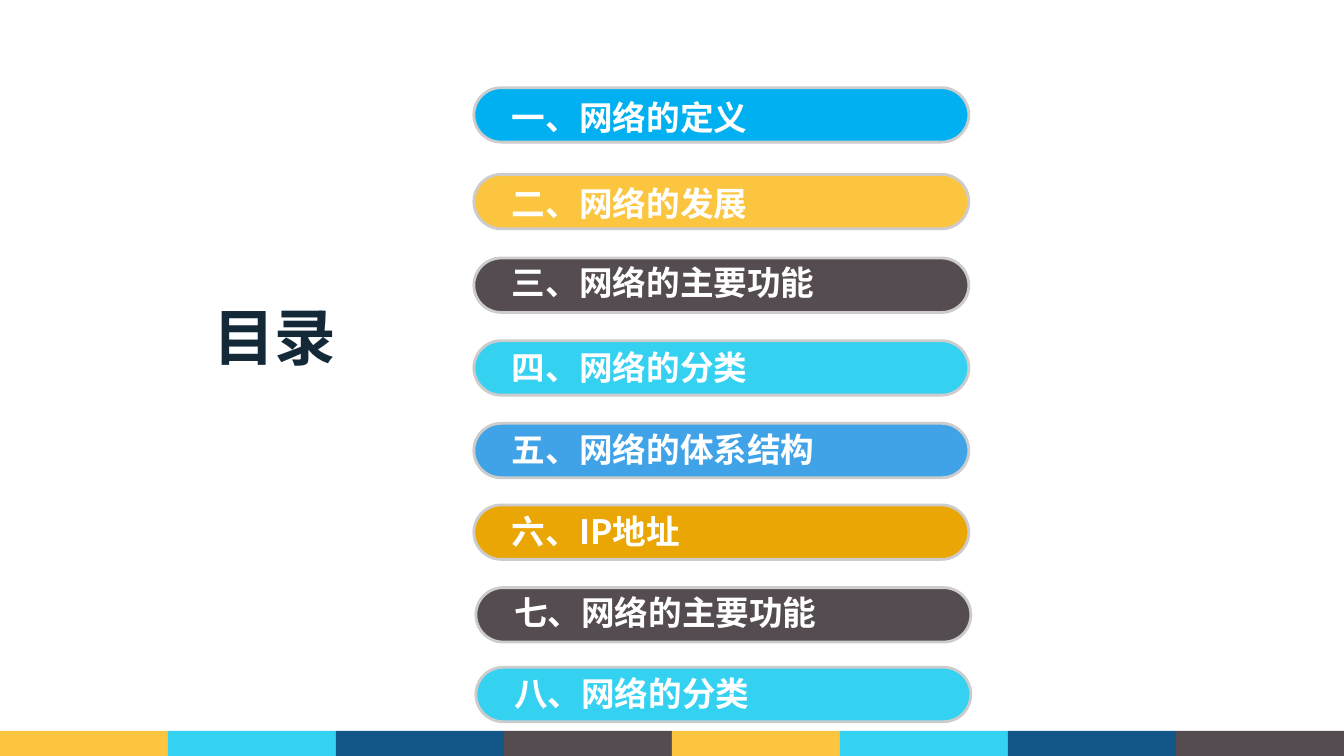
"""Contents slide: eight numbered pill bars, a title and a colour band at the foot."""
from lxml.etree import SubElement
from pptx import Presentation
from pptx.dml.color import RGBColor
from pptx.enum.shapes import MSO_SHAPE
from pptx.enum.text import MSO_AUTO_SIZE, PP_ALIGN
from pptx.oxml.ns import qn
from pptx.util import Inches, Pt

THEME = {
    "font": "Noto Sans CJK SC",
    "title_size": 44,
    "item_size": 24,
    "ink": "142938",
    "white": "FFFFFF",
    "outline": "CCCCCC",
    "azure": "00B0F0",
    "yellow": "FCC540",
    "slate": "554C51",
    "cyan": "35D1F1",
    "blue": "40A2E7",
    "amber": "E9A604",
    "navy": "115686",
}

prs = Presentation()
prs.slide_width, prs.slide_height = Inches(13.33), Inches(7.5)
s = prs.slides.add_slide(prs.slide_layouts[6])


def area(left, top, width, height):
    """Turn percentages of the slide into lengths."""
    w, h = prs.slide_width / 100, prs.slide_height / 100
    return [round(v) for v in (left * w, top * h, width * w, height * h)]


def add_text(text, at, size, color, align=PP_ALIGN.LEFT):
    """Add a bold one-line text box."""
    tf = s.shapes.add_textbox(*area(*at)).text_frame
    tf.word_wrap = True
    tf.auto_size = MSO_AUTO_SIZE.SHAPE_TO_FIT_TEXT
    p = tf.paragraphs[0]
    p.alignment = align
    r = p.add_run()
    r.text = text
    r.font.name = THEME["font"]
    r.font.size = Pt(size)
    r.font.bold = True
    r.font.color.rgb = RGBColor.from_string(THEME[color])
    SubElement(r.font._element, qn("a:ea")).set("typeface", THEME["font"])


items = [
    ("一、网络的定义", "azure", 35.26, 11.6, 0.53),
    ("二、网络的发展", "yellow", 35.26, 23.07, 0.4),
    ("三、网络的主要功能", "slate", 35.26, 34.13, -0.13),
    ("四、网络的分类", "cyan", 35.26, 45.07, 0.13),
    ("五、网络的体系结构", "blue", 35.26, 56, 0.13),
    ("六、IP地址", "amber", 35.26, 66.8, 0.13),
    ("七、网络的主要功能", "slate", 35.41, 77.73, -0.13),
    ("八、网络的分类", "cyan", 35.41, 88.27, 0.13),
]
for text, color, left, top, shift in items:
    sp = s.shapes.add_shape(MSO_SHAPE.ROUNDED_RECTANGLE, *area(left, top, 36.83, 7.2))
    sp.adjustments[0] = 0.5
    sp.shadow.inherit = False
    sp.fill.solid()
    sp.fill.fore_color.rgb = RGBColor.from_string(THEME[color])
    sp.line.color.rgb = RGBColor.from_string(THEME["outline"])
    sp.line.width = Pt(2)
    add_text(text, (left + 2.1, top + shift, 32.56, 6.67), THEME["item_size"], "white")

add_text("目录", (14.93, 38.93, 11.03, 11.2), THEME["title_size"], "ink", align=PP_ALIGN.CENTER)

band = s.shapes.add_group_shape()
band_colors = ["yellow", "cyan", "navy", "slate"] * 2
tile = 100 / len(band_colors)
for i, color in enumerate(band_colors):
    sp = band.shapes.add_shape(MSO_SHAPE.RECTANGLE, *area(i * tile, 96.67, tile, 3.33))
    sp.shadow.inherit = False
    sp.fill.solid()
    sp.fill.fore_color.rgb = RGBColor.from_string(THEME[color])
    sp.line.fill.background()

prs.save("out.pptx")
